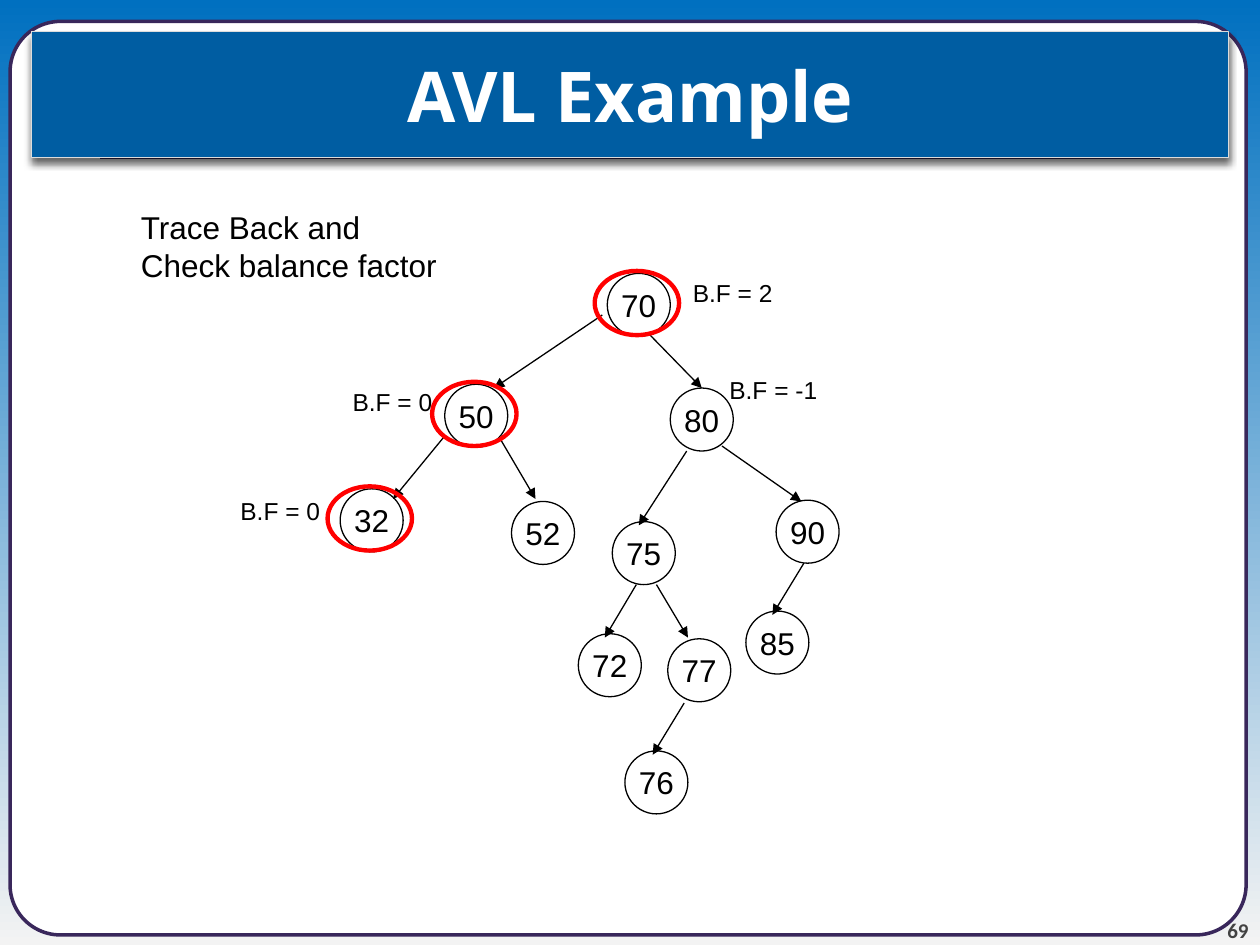
import pptx
import pptx.util
import pptx.dml.color
import pptx.enum.shapes
import pptx.enum.text
import lxml.etree
import pptx.oxml.ns

RGBColor = pptx.dml.color.RGBColor
SHAPE = pptx.enum.shapes.MSO_SHAPE
ALIGN = pptx.enum.text.PP_ALIGN
ANCHOR = pptx.enum.text.MSO_ANCHOR
FIT = pptx.enum.text.MSO_AUTO_SIZE
qn = pptx.oxml.ns.qn

BLACK = RGBColor(0x00, 0x00, 0x00)
WHITE = RGBColor(0xFF, 0xFF, 0xFF)
RED = RGBColor(0xFF, 0x00, 0x00)
SKY = RGBColor(0x00, 0x70, 0xC0)
MIST = RGBColor(0xF3, 0xF3, 0xF3)
BANNER = RGBColor(0x00, 0x5D, 0xA2)
SILVER = RGBColor(0xDC, 0xDC, 0xDC)
PURPLE = RGBColor(0x39, 0x27, 0x5B)
GREY = RGBColor(0x42, 0x42, 0x42)

COLUMNS, ROWS = 100, 75
NODE_SIZE = 5
RING_WIDTH, RING_HEIGHT = 6.7, 5.1

KEYS = {
    50: (35.3, 30.5), 70: (48.2, 21.7), 32: (27, 38.8), 80: (53.2, 30.8),
    52: (40.6, 39.8), 75: (48.6, 41.4), 85: (59.2, 48.5), 90: (61.6, 39.7),
    77: (53, 50.7), 76: (49.6, 59.6), 72: (45.9, 50.3),
}
BRANCHES = [
    ((35.3, 34.6), (31.2, 39.6)), ((47.8, 25), (39.2, 30.8)),
    ((51.6, 26.6), (55.7, 30.8)), ((39.8, 35), (42.5, 39.6)),
    ((54.5, 35.8), (50.7, 41.7)), ((63.8, 44.7), (61.3, 48.8)),
    ((57.3, 35.4), (63.6, 39.8)), ((52.1, 46.4), (54.6, 50.6)),
    ((54.3, 55.8), (51.8, 59.9)), ((50.5, 46.4), (48, 50.6)),
]
TRACED_KEYS = [32, 50, 70]
BALANCE_FACTORS = [
    ("B.F = -1", 56.9, 29.3, 9), ("B.F = 2", 54, 21.6, 8.4),
    ("B.F = 0", 27, 30.2, 8.4), ("B.F = 0", 18.1, 38.9, 8.4),
]


class TreeSlide:
    def __init__(self):
        self.deck = pptx.Presentation()
        self.deck.slide_width = pptx.util.Inches(10)
        self.deck.slide_height = pptx.util.Inches(7.5)
        self.slide = self.deck.slides.add_slide(self.deck.slide_layouts[5])
        self.shapes = self.slide.shapes

    def x(self, columns):
        return round(self.deck.slide_width * columns / COLUMNS)

    def y(self, rows):
        return round(self.deck.slide_height * rows / ROWS)

    def box(self, left, top, width, height):
        return self.x(left), self.y(top), self.x(width), self.y(height)

    def background(self, top, bottom):
        fill = self.slide.background.fill
        fill.gradient()
        fill.gradient_angle = 270
        for stop, color in zip(fill.gradient_stops, (top, bottom)):
            stop.color.rgb = color

    def set_text(self, shape, text, size, color=BLACK, font="Arial", bold=False,
                 align=ALIGN.LEFT, anchor=ANCHOR.TOP, wrap=False, fit=FIT.NONE):
        frame = shape.text_frame
        frame.text = text
        frame.word_wrap = wrap
        frame.auto_size = fit
        frame.vertical_anchor = anchor
        for paragraph in frame.paragraphs:
            paragraph.alignment = align
            for run in paragraph.runs:
                run.font.name = font
                run.font.size = pptx.util.Pt(size)
                run.font.bold = bold
                run.font.color.rgb = color

    def outline(self, shape, color, weight):
        shape.line.color.rgb = color
        shape.line.width = pptx.util.Pt(weight)

    def shape(self, kind, place, line, weight, fill=None):
        shape = self.shapes.add_shape(kind, *self.box(*place))
        shape.shadow.inherit = False
        self.outline(shape, line, weight)
        if fill is None:
            shape.fill.background()
        else:
            shape.fill.solid()
            shape.fill.fore_color.rgb = fill
        return shape

    def panel(self, *place):
        panel = self.shape(SHAPE.ROUNDED_RECTANGLE, place, PURPLE, 2, WHITE)
        panel.adjustments[0] = 0.055

    def title(self, text, *place):
        title = self.shapes.title
        title.left, title.top, title.width, title.height = self.box(*place)
        title.fill.solid()
        title.fill.fore_color.rgb = BANNER
        self.outline(title, SILVER, 0.75)
        self.set_text(title, text, 40, WHITE, "Open Sans", True, ALIGN.CENTER,
                      ANCHOR.MIDDLE, True)
        effects = lxml.etree.SubElement(title.element.spPr, qn("a:effectLst"))
        shadow = lxml.etree.SubElement(effects, qn("a:outerShdw"), blurRad="50800",
                                       dist="38100", dir="5400000")
        black = lxml.etree.SubElement(shadow, qn("a:srgbClr"), val="000000")
        lxml.etree.SubElement(black, qn("a:alpha"), val="60000")
        title.element.getparent().append(title.element)

    def label(self, text, left, top, width, height=3.4, size=14):
        label = self.shapes.add_textbox(*self.box(left, top, width, height))
        self.set_text(label, text, size, fit=FIT.SHAPE_TO_FIT_TEXT)

    def page_number(self, text, *place):
        number = self.shapes.add_textbox(*self.box(*place))
        frame = number.text_frame
        frame.margin_left = frame.margin_right = 0
        frame.margin_top = frame.margin_bottom = 0
        self.set_text(number, text, 12, GREY, "Calibri", True, ALIGN.RIGHT,
                      ANCHOR.BOTTOM, True)

    def line(self, start, end, color=BLACK, weight=0.75, arrow=False):
        line = self.shapes.add_connector(
            pptx.enum.shapes.MSO_CONNECTOR.STRAIGHT,
            self.x(start[0]), self.y(start[1]), self.x(end[0]), self.y(end[1]))
        self.outline(line, color, weight)
        properties = line.element.spPr
        if arrow:
            lxml.etree.SubElement(properties.get_or_add_ln(), qn("a:tailEnd"),
                                  type="triangle")
        lxml.etree.SubElement(properties, qn("a:effectLst"))

    def node(self, key, left, top):
        node = self.shape(SHAPE.OVAL, (left, top, NODE_SIZE, NODE_SIZE), BLACK, 0.75)
        self.set_text(node, str(key), 18, align=ALIGN.CENTER, anchor=ANCHOR.MIDDLE)

    def ring(self, left, top):
        place = (left - 1, top - 0.2, RING_WIDTH, RING_HEIGHT)
        self.shape(SHAPE.OVAL, place, RED, 2.5)


def main():
    avl = TreeSlide()
    avl.background(SKY, MIST)
    avl.panel(0.8, 1.7, 98.1, 72.5)
    avl.page_number("69", 90.8, 70.8, 8.3, 4)
    avl.line((7.9, 12.5), (92.1, 12.5), PURPLE, 2.25)
    avl.title("AVL Example", 2.5, 2.5, 95, 10)
    for key, corner in KEYS.items():
        avl.node(key, *corner)
    for parent_end, child_end in BRANCHES:
        avl.line(parent_end, child_end, arrow=True)
    for key in TRACED_KEYS:
        avl.ring(*KEYS[key])
    avl.label("Trace Back and\nCheck balance factor", 10.2, 16, 25.7, 7.1, 18)
    for factor in BALANCE_FACTORS:
        avl.label(*factor)
    avl.deck.save("out.pptx")


if __name__ == "__main__":
    main()
